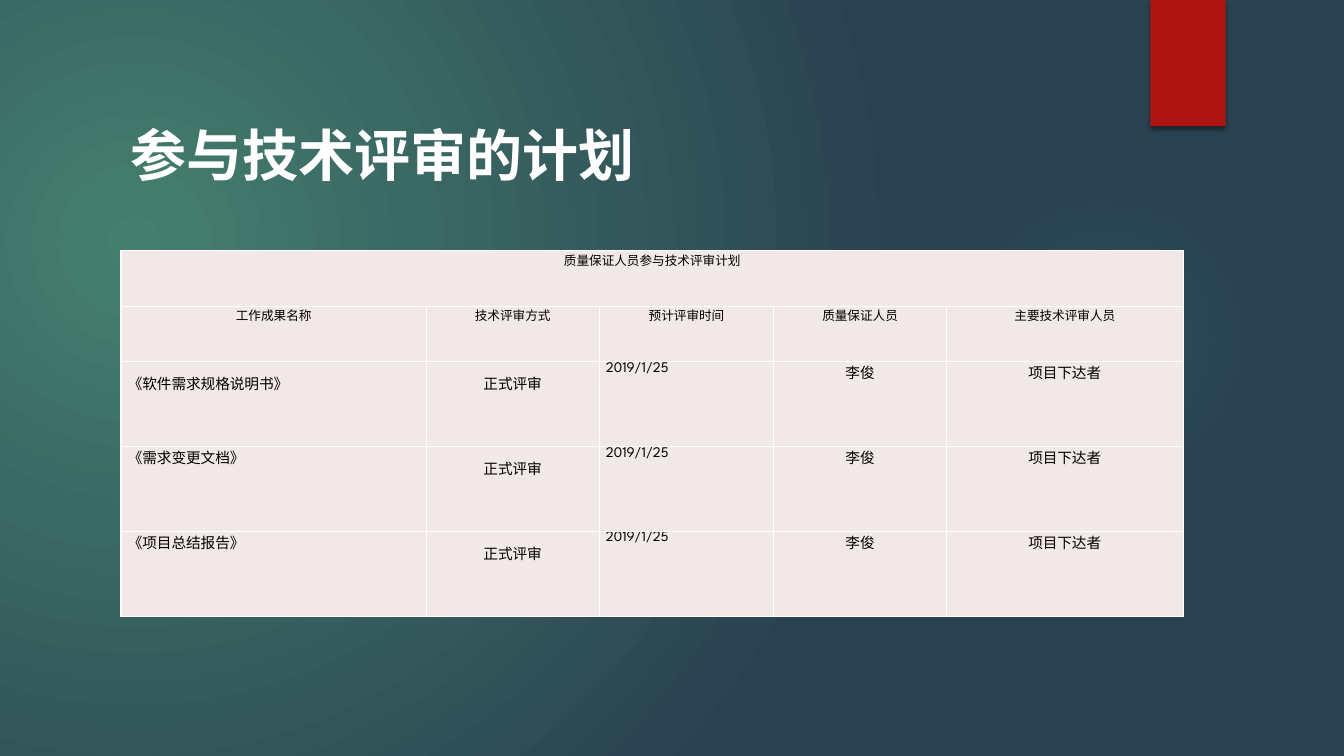
from lxml import etree
from pptx import Presentation
from pptx.dml.color import RGBColor
from pptx.enum.shapes import MSO_SHAPE
from pptx.enum.text import MSO_AUTO_SIZE, PP_ALIGN
from pptx.oxml.ns import qn
from pptx.util import Cm, Pt

CENTER, JUSTIFY = PP_ALIGN.CENTER, PP_ALIGN.JUSTIFY
RECTANGLE, OVAL = MSO_SHAPE.RECTANGLE, MSO_SHAPE.OVAL
FIT_SHAPE = MSO_AUTO_SIZE.SHAPE_TO_FIT_TEXT

FONT = "League Spartan"
WHITE = RGBColor(0xFF, 0xFF, 0xFF)
BLACK = RGBColor(0x00, 0x00, 0x00)
GREEN = RGBColor(0x45, 0x7F, 0x6E)
NAVY = RGBColor(0x29, 0x42, 0x50)
TEAL = RGBColor(0x50, 0xB9, 0xC1)
RED = RGBColor(0xB0, 0x15, 0x13)
CELL_FILL = RGBColor(0xF2, 0xE8, 0xE7)

COLUMN_WIDTHS = [7.69, 4.36, 4.4, 4.35, 5.97]
ROW_HEIGHTS = [1.4, 1.4, 2.14, 2.14, 2.14]
TABLE_TITLE = "质量保证人员参与技术评审计划"
HEADINGS = ["工作成果名称", "技术评审方式", "预计评审时间", "质量保证人员", "主要技术评审人员"]
DOCUMENTS = ["《软件需求规格说明书》", "《需求变更文档》", "《项目总结报告》"]
REVIEW = ["正式评审", "2019/1/25", "李俊", "项目下达者"]
BODY_ALIGNMENTS = [JUSTIFY, CENTER, JUSTIFY, CENTER, CENTER]


def add_child(parent, tag, **attributes):
    child = etree.SubElement(parent, qn(tag))
    for key, value in attributes.items():
        child.set(key, str(value))
    return child


def add_color(parent, color, opacity=100):
    value = add_child(parent, "a:srgbClr", val=color)
    if opacity < 100:
        add_child(value, "a:alpha", val=opacity * 1000)


def set_radial_fill(properties, stops, focus):
    """Turn a solid fill into a radial one; stops are (position, color, opacity)."""
    gradient = etree.Element(qn("a:gradFill"), rotWithShape="1")
    stop_list = add_child(gradient, "a:gsLst")
    for position, color, opacity in stops:
        add_color(add_child(stop_list, "a:gs", pos=position * 1000), color, opacity)
    circle = add_child(gradient, "a:path", path="circle")
    add_child(circle, "a:fillToRect",
              **{side: percent * 1000 for side, percent in zip("ltrb", focus)})
    properties.replace(properties.find(qn("a:solidFill")), gradient)


def add_decoration(slide, kind, color, left, top, width, height):
    decoration = slide.shapes.add_shape(kind, Cm(left), Cm(top), Cm(width), Cm(height))
    decoration.shadow.inherit = False
    decoration.fill.solid()
    decoration.fill.fore_color.rgb = color
    decoration.line.fill.background()
    return decoration


def add_shadow(shape):
    effects = shape.element.spPr.find(qn("a:effectLst"))
    shadow = add_child(effects, "a:outerShdw", blurRad=Pt(3), dist=Pt(2),
                       dir=90 * 60000, algn="ctr", rotWithShape=0)
    add_color(shadow, BLACK, 45)


def format_text(paragraph, size, color, bold=False):
    for run in paragraph.runs:
        run.font.name = FONT
        run.font.size = Pt(size)
        run.font.bold = bold
        run.font.color.rgb = color


def add_title(slide, text):
    title = slide.shapes.add_textbox(Cm(3.05), Cm(2.9), Cm(13.39), Cm(1.96))
    title.text_frame.text = text
    title.text_frame.word_wrap = False
    title.text_frame.auto_size = FIT_SHAPE
    format_text(title.text_frame.paragraphs[0], 40, WHITE, bold=True)


def style_cell(cell):
    cell.margin_left = cell.margin_right = Cm(0.17)
    cell.margin_top = cell.margin_bottom = 0
    properties = cell._tc.get_or_add_tcPr()
    for side in ("a:lnL", "a:lnR", "a:lnT", "a:lnB"):
        border = add_child(properties, side, w=Pt(1))
        add_color(add_child(border, "a:solidFill"), WHITE)
    cell.fill.solid()
    cell.fill.fore_color.rgb = CELL_FILL


def write_cell(cell, text, size, alignment, spacing=None):
    cell.text_frame.text = text
    paragraph = cell.text_frame.paragraphs[0]
    paragraph.alignment = alignment
    paragraph.line_spacing = spacing
    format_text(paragraph, size, BLACK)


def add_review_table(slide):
    plan = slide.shapes.add_table(
        len(ROW_HEIGHTS), len(COLUMN_WIDTHS), Cm(3.05), Cm(6.32),
        Cm(sum(COLUMN_WIDTHS)), Cm(sum(ROW_HEIGHTS))).table
    plan.first_row = plan.horz_banding = False
    for column, width in zip(plan.columns, COLUMN_WIDTHS):
        column.width = Cm(width)
    for row, height in zip(plan.rows, ROW_HEIGHTS):
        row.height = Cm(height)
    for cell in plan.iter_cells():
        style_cell(cell)

    # Title row and headings
    plan.cell(0, 0).merge(plan.cell(0, len(COLUMN_WIDTHS) - 1))
    write_cell(plan.cell(0, 0), TABLE_TITLE, 9, CENTER)
    for column, heading in enumerate(HEADINGS):
        write_cell(plan.cell(1, column), heading, 9, CENTER)

    # One row for each reviewed document
    for row, document in enumerate(DOCUMENTS, start=2):
        for column, text in enumerate([document] + REVIEW):
            spaced = column == 1 or (row, column) == (2, 0)
            write_cell(plan.cell(row, column), text, 10.5,
                       BODY_ALIGNMENTS[column], 1.5 if spaced else None)


def main():
    presentation = Presentation()
    presentation.slide_width = Cm(33.87)
    presentation.slide_height = Cm(19.05)
    slide = presentation.slides.add_slide(presentation.slide_layouts[6])

    # Background
    slide.background.fill.solid()
    set_radial_fill(slide.element.cSld.bg.bgPr,
                    [(0, GREEN, 100), (100, NAVY, 100)], (45, 65, 125, 100))

    # Glow and ribbon
    glow = add_decoration(slide, OVAL, TEAL, 23.9, 4.65, 7.82, 7.82)
    set_radial_fill(glow.element.spPr,
                    [(0, TEAL, 7), (36, TEAL, 6), (69, TEAL, 0)], (50, 50, 50, 50))
    ribbon = add_decoration(slide, RECTANGLE, RED, 28.99, 0, 1.9, 3.18)
    add_shadow(ribbon)

    # Content
    add_title(slide, "参与技术评审的计划")
    add_review_table(slide)

    presentation.save("out.pptx")


if __name__ == "__main__":
    main()
